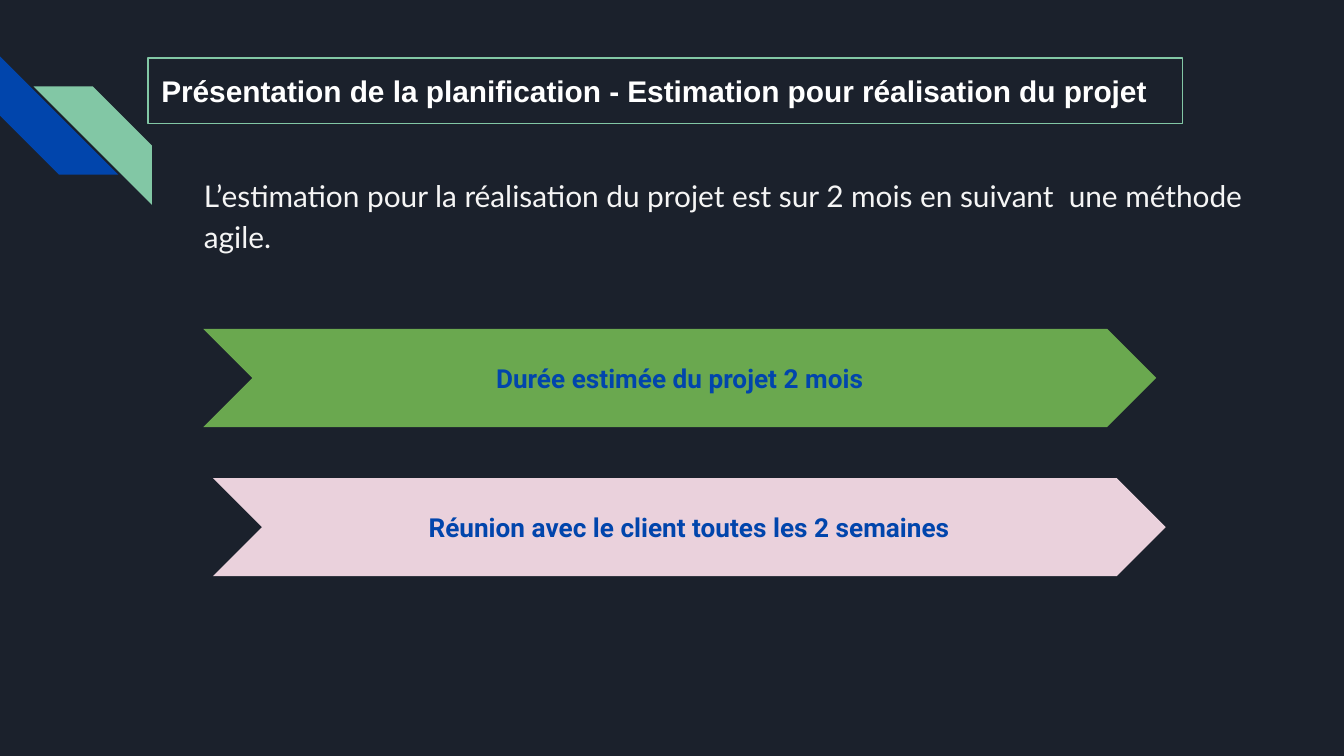
from dataclasses import dataclass

from pptx import Presentation
from pptx.dml.color import RGBColor as Rgb
from pptx.enum.shapes import MSO_SHAPE as Shape
from pptx.enum.text import MSO_ANCHOR as Anchor, MSO_AUTO_SIZE as Fit, PP_ALIGN as Align
from pptx.util import Pt


@dataclass(frozen=True)
class Theme:
    back: str = "1B212C"
    blue: str = "0145AC"
    mint: str = "82C7A5"
    green: str = "6AA84F"
    pink: str = "EAD1DC"
    white: str = "FFFFFF"
    pale: str = "F5F5F5"
    large: int = 16
    small: int = 14
    inset: float = 7.2


THEME = Theme()


def paint(fill, color):
    fill.solid()
    fill.fore_color.rgb = Rgb.from_string(color)


def place(shape, left, top, width, height):
    shape.left, shape.top = Pt(left), Pt(top)
    shape.width, shape.height = Pt(width), Pt(height)


def write(shape, text, font, size, color, bold=False,
          align=Align.LEFT, anchor=Anchor.MIDDLE):
    frame = shape.text_frame
    frame.text = text
    frame.word_wrap = True
    frame.auto_size = Fit.NONE
    frame.vertical_anchor = anchor
    frame.margin_left = frame.margin_right = Pt(THEME.inset)
    frame.margin_top = frame.margin_bottom = Pt(THEME.inset)
    para = frame.paragraphs[0]
    para.alignment = align
    style = para.runs[0].font
    style.name, style.size, style.bold = font, Pt(size), bold
    style.color.rgb = Rgb.from_string(color)
    return para


def add_form(slide, kind, box, color):
    shape = slide.shapes.add_shape(kind, *map(Pt, box))
    shape.shadow.inherit = False
    paint(shape.fill, color)
    shape.line.fill.background()
    shape.adjustments[0] = 0.5
    return shape


def add_stripe(slide, left, top, turn, color):
    side = 63.4
    shape = add_form(slide, Shape.DIAGONAL_STRIPE, (left, top, side, side), color)
    shape.rotation = turn


def add_arrow(slide, left, top, text, color):
    shape = add_form(slide, Shape.CHEVRON, (left, top, 510.5, 52.6), color)
    write(shape, text, "Roboto", THEME.small, THEME.blue, True, Align.CENTER)


def set_title(slide, text):
    title = slide.shapes.title
    place(title, 79.2, 31, 554.4, 35.3)
    title.line.width = Pt(0.75)
    paint(title.line.fill, THEME.mint)
    write(title, text, "Arial", THEME.large, THEME.white, True)


def add_body(slide, text):
    box = slide.shapes.add_textbox(Pt(102.2), Pt(85), Pt(591), Pt(290))
    para = write(box, text, "Lato", THEME.large, THEME.pale, anchor=Anchor.TOP)
    para.line_spacing = 1.15


def main():
    deck = Presentation()
    deck.slide_width, deck.slide_height = Pt(720), Pt(405)
    slide = deck.slides.add_slide(deck.slide_layouts[5])
    paint(slide.background.fill, THEME.back)

    # Corner stripes
    add_stripe(slide, 0, 30.2, 270, THEME.blue)
    add_stripe(slide, 18, 46.3, 90, THEME.mint)

    # Heading and introduction
    set_title(slide, "Présentation de la planification - Estimation pour réalisation du projet")
    add_body(slide, "L’estimation pour la réalisation du projet est sur 2 mois "
                    "en suivant  une méthode agile.")

    # Planning arrows
    add_arrow(slide, 108.9, 176.2, "Durée estimée du projet 2 mois", THEME.green)
    add_arrow(slide, 114, 256.1, "Réunion avec le client toutes les 2 semaines", THEME.pink)

    deck.save("out.pptx")


if __name__ == "__main__":
    main()
